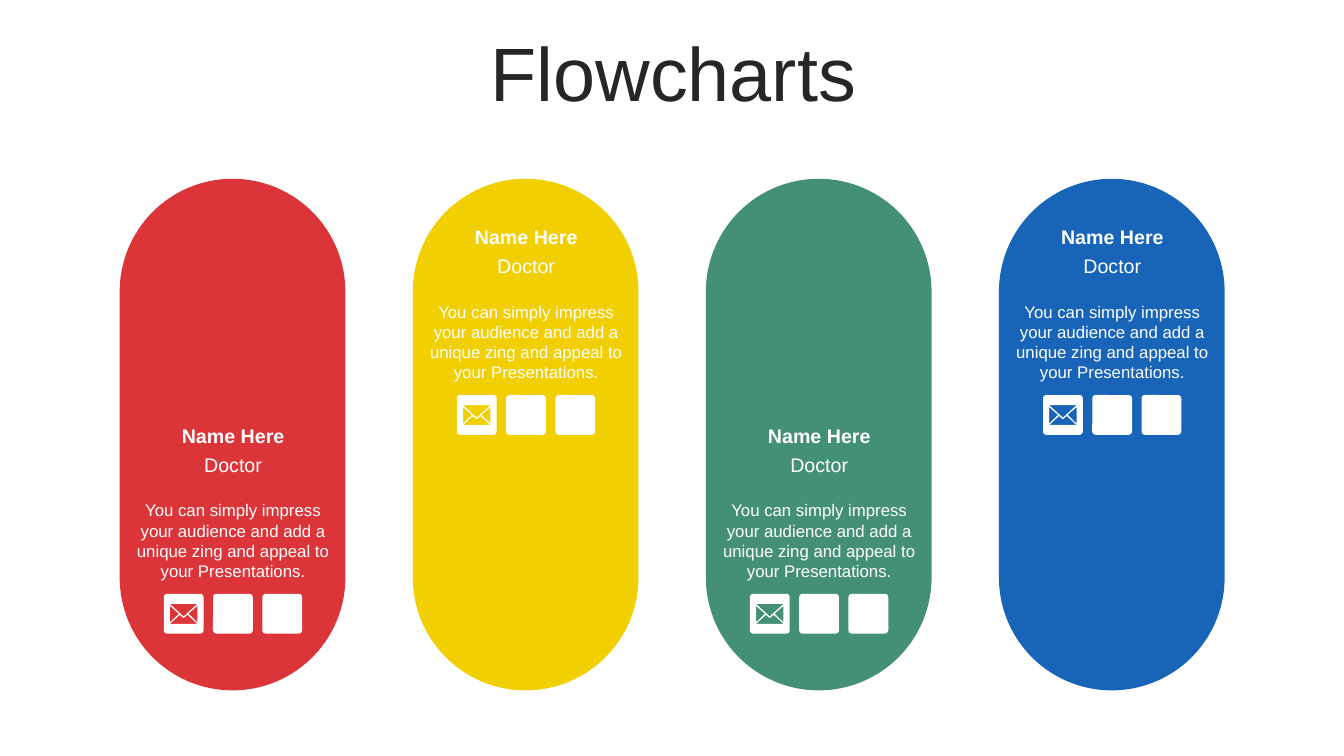
from math import cos, radians, sin

from pptx import Presentation
from pptx.dml.color import RGBColor
from pptx.enum.shapes import MSO_SHAPE as Preset
from pptx.enum.text import MSO_ANCHOR as Anchor, PP_ALIGN as Align
from pptx.util import Pt

WHITE, INK = "FFFFFF", "262626"
COLUMN_COLOURS = ["DC3539", "F1CF01", "449074", "1764B9"]
BLURB = ("You can simply impress your audience and add a unique zing "
         "and appeal to your Presentations.")

# Column geometry in points
FIRST_LEFT, COLUMN_STEP = 85.5, 209.35
COLUMN_TOP, COLUMN_WIDTH, COLUMN_HEIGHT = 127.7, 161.2, 365.4
LOWER_SHIFT = 142
TILE, TILE_STEP, TILE_INDENT, TILE_RADIUS = 28.4, 35.2, 31.5, 2.4

# Gaps in the mail tile that form the envelope
MIDDLE = TILE / 2
LEFT_FLAP = [(4.4, 8.6), (10.8, 14.2), (4.4, 20.4)]
ENVELOPE = [
    [(4.4, 7.2), (MIDDLE, 16.2), (TILE - 4.4, 7.2)],
    LEFT_FLAP,
    [(TILE - x, y) for x, y in LEFT_FLAP],
    [(11.4, 15), (MIDDLE, 17.3), (TILE - 11.4, 15),
     (TILE - 4.4, 21.4), (4.4, 21.4)],
]


def colour(value):
    return RGBColor.from_string(value)


def rounded_outline(size, radius):
    """Corner points of a rounded square, clockwise from the left side."""
    centres = [(radius, radius), (size - radius, radius),
               (size - radius, size - radius), (radius, size - radius)]
    return [(x + radius * cos(radians(angle)), y + radius * sin(radians(angle)))
            for turn, (x, y) in enumerate(centres)
            for angle in range(180 + 90 * turn, 271 + 90 * turn, 15)]


class Slide:
    font = "Arial"

    def __init__(self, deck):
        self.page = deck.slides.add_slide(deck.slide_layouts[6])

    def paint(self, shape, fill):
        shape.shadow.inherit = False
        shape.fill.solid()
        shape.fill.fore_color.rgb = colour(fill)
        shape.line.fill.background()

    def rounded(self, left, top, width, height, fill, corner):
        shape = self.page.shapes.add_shape(
            Preset.ROUNDED_RECTANGLE, Pt(left), Pt(top), Pt(width), Pt(height))
        shape.adjustments[0] = corner
        self.paint(shape, fill)

    def outline(self, left, top, contours, fill):
        moved = [[(Pt(left + x), Pt(top + y)) for x, y in contour]
                 for contour in contours]
        builder = self.page.shapes.build_freeform(*moved[0][0], scale=1.0)
        for number, contour in enumerate(moved):
            if number:
                builder.move_to(*contour[0])
            builder.add_line_segments(contour[1:], close=True)
        self.paint(builder.convert_to_shape(), fill)

    def text(self, left, top, width, height, words, size, ink=WHITE,
             bold=False, anchor=Anchor.MIDDLE, **spacing):
        box = self.page.shapes.add_textbox(Pt(left), Pt(top), Pt(width), Pt(height))
        frame = box.text_frame
        frame.word_wrap = True
        frame.vertical_anchor = anchor
        para = frame.paragraphs[0]
        for name, value in {"alignment": Align.CENTER, **spacing}.items():
            setattr(para, name, value)
        span = para.add_run()
        span.text = words
        for name, value in {"name": self.font, "size": Pt(size), "bold": bold}.items():
            setattr(span.font, name, value)
        span.font.color.rgb = colour(ink)


def main():
    deck = Presentation()
    deck.slide_width, deck.slide_height = Pt(960), Pt(540)
    slide = Slide(deck)

    # Title
    slide.text(25.2, 26.6, 911.5, 56.9, "Flowcharts", 54, INK,
               line_spacing=0.9, space_before=Pt(10))

    for index, fill in enumerate(COLUMN_COLOURS):
        left = FIRST_LEFT + index * COLUMN_STEP
        shift = LOWER_SHIFT if index % 2 == 0 else 0

        # Column and its text
        slide.rounded(left, COLUMN_TOP, COLUMN_WIDTH, COLUMN_HEIGHT, fill, 0.5)
        slide.text(left, 159.2 + shift, 162, 19.4, "Name Here", 14, bold=True,
                   space_before=Pt(2.8))
        slide.text(left, 180.2 + shift, 162, 19.4, "Doctor", 14,
                   space_before=Pt(2.8))
        slide.text(left, 211.7 + shift, 162, 65.5, BLURB, 12, anchor=Anchor.TOP)

        # Mail tile, then two plain tiles
        tile_left, tile_top = left + TILE_INDENT, 282.2 + shift
        slide.outline(tile_left, tile_top,
                      [rounded_outline(TILE, TILE_RADIUS), *ENVELOPE], WHITE)
        for place in (1, 2):
            slide.rounded(tile_left + place * TILE_STEP, tile_top, TILE, TILE,
                          WHITE, TILE_RADIUS / TILE)

    deck.save("out.pptx")


if __name__ == "__main__":
    main()
